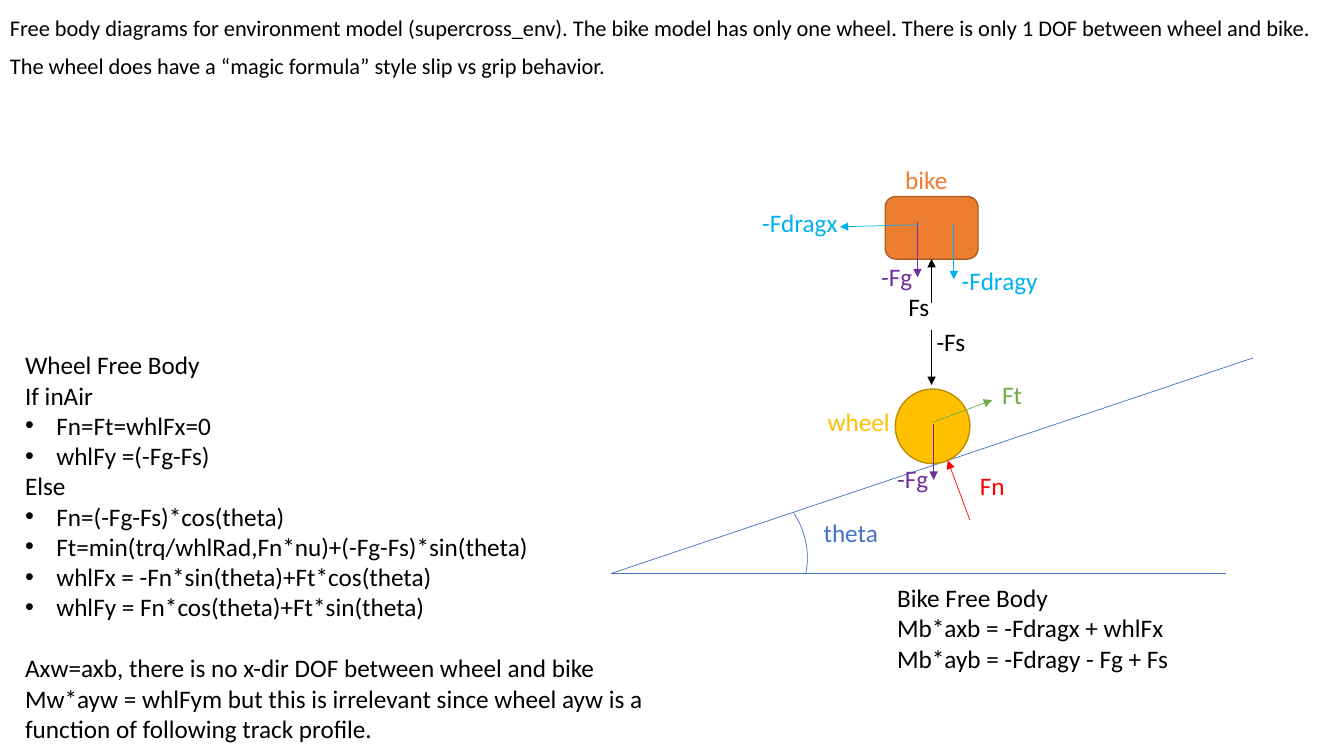
"""Build the free body diagram slide for a one-wheel bike model."""
import dataclasses

import lxml.etree
import pptx
import pptx.dml.color
import pptx.enum.shapes
import pptx.enum.text
import pptx.oxml.ns
import pptx.util

SHAPE = pptx.enum.shapes.MSO_SHAPE
COLUMNS, ROWS = 133.3, 75
WIDTH, HEIGHT = pptx.util.Inches(13.33), pptx.util.Inches(7.5)
LABEL_SIZE = (11.2, 4)


@dataclasses.dataclass(frozen=True)
class Theme:
    """Colours and type sizes of the slide."""
    font: str = "Calibri"
    intro_size: int = 16
    body_size: int = 18
    gap: int = 22
    thin: float = 0.5
    outline: int = 1
    ink: str = "000000"
    track: str = "4472C4"
    wheel: str = "FFC000"
    wheel_edge: str = "BD8E00"
    bike: str = "ED7D31"
    bike_edge: str = "AF5C24"
    gravity: str = "7030A0"
    drag: str = "00B0F0"
    normal: str = "FF0000"
    traction: str = "70AD47"


THEME = Theme()

FORCES = [
    ("Fn", THEME.normal, (96.2, 51.6), (94, 45.7), (96.2, 46.2)),
    ("-Fs", THEME.ink, (92.4, 32.7), (92.4, 38.2), (91.9, 31.9)),
    ("Ft", THEME.traction, (92.5, 41.9), (98.4, 39.7), (98.4, 37.1)),
    ("-Fg", THEME.gravity, (91, 22), (91, 27.5), (86.4, 25.4)),
    ("-Fdragx", THEME.drag, (91.1, 22.3), (83.3, 22.5), (74.6, 20.1)),
    ("-Fdragy", THEME.drag, (94.6, 22.2), (94.6, 27.7), (94.4, 25.8)),
    ("-Fg", THEME.gravity, (92.6, 42.1), (92.6, 47.6), (88, 45.5)),
]

INTRO = [
    "Free body diagrams for environment model (supercross_env). The bike model has only one wheel. "
    "There is only 1 DOF between wheel and bike.",
    "The wheel does have a “magic formula” style slip vs grip behavior.",
]
BIKE_EQUATIONS = ["Bike Free Body", "Mb*axb = -Fdragx + whlFx", "Mb*ayb = -Fdragy - Fg + Fs"]
WHEEL_CASES = [
    (["Wheel Free Body", "If inAir"], ["Fn=Ft=whlFx=0", "whlFy =(-Fg-Fs)"]),
    (["Else"], ["Fn=(-Fg-Fs)*cos(theta)",
                "Ft=min(trq/whlRad,Fn*nu)+(-Fg-Fs)*sin(theta)",
                "whlFx = -Fn*sin(theta)+Ft*cos(theta)",
                "whlFy = Fn*cos(theta)+Ft*sin(theta)"]),
]
WHEEL_REMARKS = [
    "Axw=axb, there is no x-dir DOF between wheel and bike",
    "Mw*ayw = whlFym but this is irrelevant since wheel ayw is a function of following track profile.",
]


def place(column, row):
    """Turn a grid position or extent into slide lengths."""
    return int(WIDTH * column / COLUMNS), int(HEIGHT * row / ROWS)


def rgb(colour):
    """Return the colour for a hex string."""
    return pptx.dml.color.RGBColor.from_string(colour)


def add_text(slide, corner, extent, lines, colour=THEME.ink, size=THEME.body_size):
    """Add a wrapped text box and return its paragraphs."""
    frame = slide.shapes.add_textbox(*place(*corner), *place(*extent)).text_frame
    frame.word_wrap = True
    frame.text = "\n".join(lines)
    for paragraph in frame.paragraphs:
        for run in paragraph.runs:
            run.font.name = THEME.font
            run.font.size = pptx.util.Pt(size)
            run.font.color.rgb = rgb(colour)
    return frame.paragraphs


def add_label(slide, corner, text, colour):
    """Add a one-line label of the standard size."""
    add_text(slide, corner, LABEL_SIZE, [text], colour)


def add_line(slide, start, end, colour, arrow=False):
    """Add a thin straight line, with an arrowhead at its end if asked."""
    line = slide.shapes.add_connector(
        pptx.enum.shapes.MSO_CONNECTOR.STRAIGHT, *place(*start), *place(*end))
    line.line.color.rgb = rgb(colour)
    line.line.width = pptx.util.Pt(THEME.thin)
    if arrow:
        head = lxml.etree.SubElement(line.line._get_or_add_ln(), pptx.oxml.ns.qn("a:tailEnd"))
        head.set("type", "triangle")
    lxml.etree.SubElement(line._element.spPr, pptx.oxml.ns.qn("a:effectLst"))
    return line


def add_body(slide, preset, corner, extent, edge, width, fill=None):
    """Add a preset shape with an outline and an optional fill."""
    body = slide.shapes.add_shape(preset, *place(*corner), *place(*extent))
    body.shadow.inherit = False
    body.line.color.rgb = rgb(edge)
    body.line.width = pptx.util.Pt(width)
    if fill:
        body.fill.solid()
        body.fill.fore_color.rgb = rgb(fill)
    else:
        body.fill.background()
    return body


def add_bullet(paragraph):
    """Give a paragraph a hanging bullet."""
    properties = paragraph._p.get_or_add_pPr()
    indent = pptx.util.Inches(0.31)
    properties.set("marL", str(indent))
    properties.set("indent", str(-indent))
    font = lxml.etree.SubElement(properties, pptx.oxml.ns.qn("a:buFont"))
    font.set("typeface", "Arial")
    bullet = lxml.etree.SubElement(properties, pptx.oxml.ns.qn("a:buChar"))
    bullet.set("char", "•")


def add_intro(slide):
    """Add the description across the top."""
    for paragraph in add_text(slide, (0, 1.2), (132.1, 11.4), INTRO, size=THEME.intro_size):
        paragraph.line_spacing = 0.9
        paragraph.space_before = pptx.util.Pt(10)


def add_track(slide):
    """Add the slope, the ground and the angle between them."""
    corner = (60.6, 56.9)
    add_line(slide, (124.3, 35.5), corner, THEME.track)
    add_line(slide, corner, (121.6, 56.9), THEME.track)
    angle = add_body(slide, SHAPE.ARC, (65.1, 47.7), (15.4, 14.2), THEME.track, THEME.thin)
    angle.adjustments[0], angle.adjustments[1] = 162, 192
    angle.rotation = 56.9
    add_label(slide, (80.7, 50.8), "theta", THEME.track)


def add_vehicle(slide):
    """Add the wheel, the bike and the spring force under the bike."""
    add_body(slide, SHAPE.OVAL, (88.8, 38.6), (7.4, 7.4),
             THEME.wheel_edge, THEME.outline, THEME.wheel)
    add_label(slide, (81.1, 39.8), "wheel", THEME.wheel)
    bike = add_body(slide, SHAPE.ROUNDED_RECTANGLE, (87.8, 19.5), (9.2, 6.2),
                    THEME.bike_edge, THEME.outline, THEME.bike)
    add_label(slide, (88.8, 15.8), "bike", THEME.bike)
    spring = add_line(slide, (92.4, 30.1), (92.4, 25.7), THEME.ink, arrow=True)
    spring.end_connect(bike, 2)
    add_label(slide, (89.1, 28.4), "Fs", THEME.ink)


def add_wheel_equations(slide):
    """Add the wheel equations with bullets under each case."""
    lines, bulleted = [], []
    for heading, equations in WHEEL_CASES:
        lines += heading + equations
        bulleted += [False] * len(heading) + [True] * len(equations)
    paragraphs = add_text(slide, (1.5, 34.2), (64.5, 40.4), lines + WHEEL_REMARKS)
    paragraphs[len(lines)].space_before = pptx.util.Pt(THEME.gap)
    for paragraph, has_bullet in zip(paragraphs, bulleted):
        if has_bullet:
            add_bullet(paragraph)


def main():
    """Build and save the slide."""
    deck = pptx.Presentation()
    deck.slide_width, deck.slide_height = WIDTH, HEIGHT
    slide = deck.slides.add_slide(deck.slide_layouts[6])
    add_intro(slide)
    add_track(slide)
    add_vehicle(slide)
    for name, colour, start, end, label_corner in FORCES:
        add_line(slide, start, end, colour, arrow=True)
        add_label(slide, label_corner, name, colour)
    add_text(slide, (88, 57.3), (29.7, 10.1), BIKE_EQUATIONS)
    add_wheel_equations(slide)
    deck.save("out.pptx")


if __name__ == "__main__":
    main()
